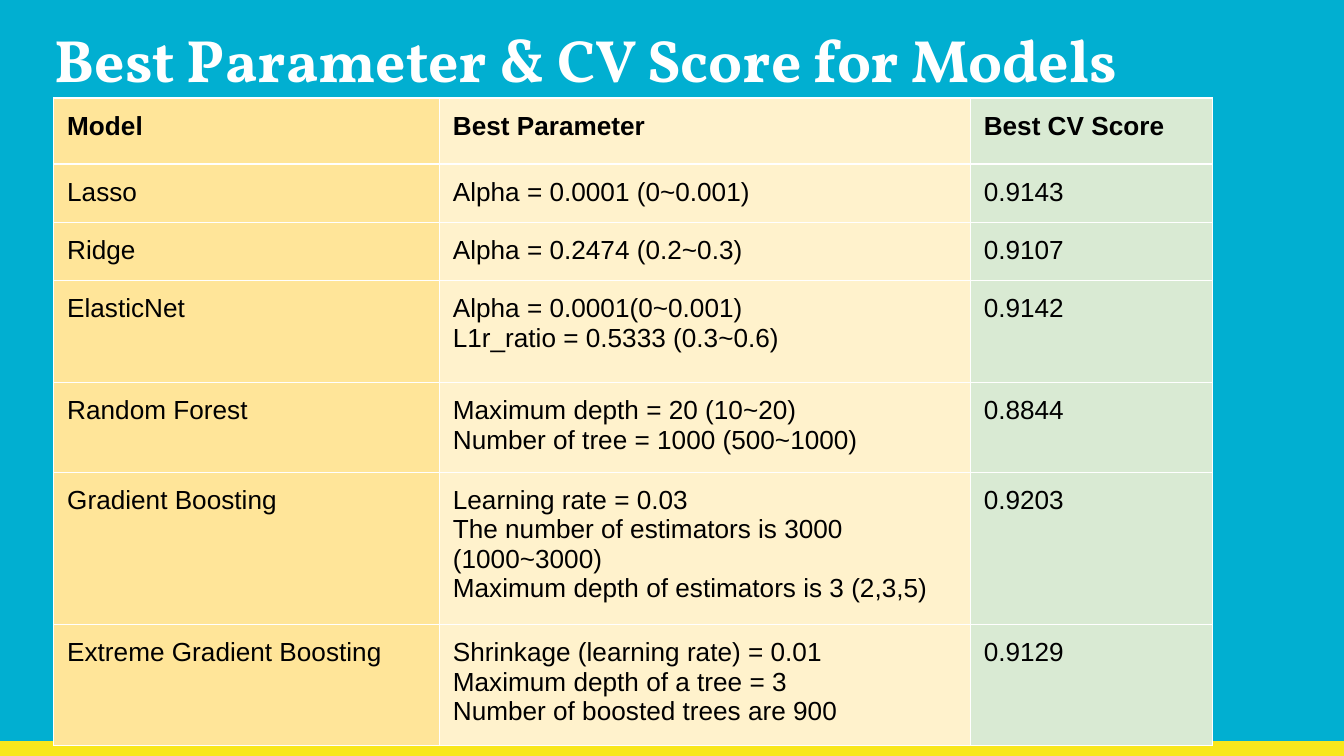
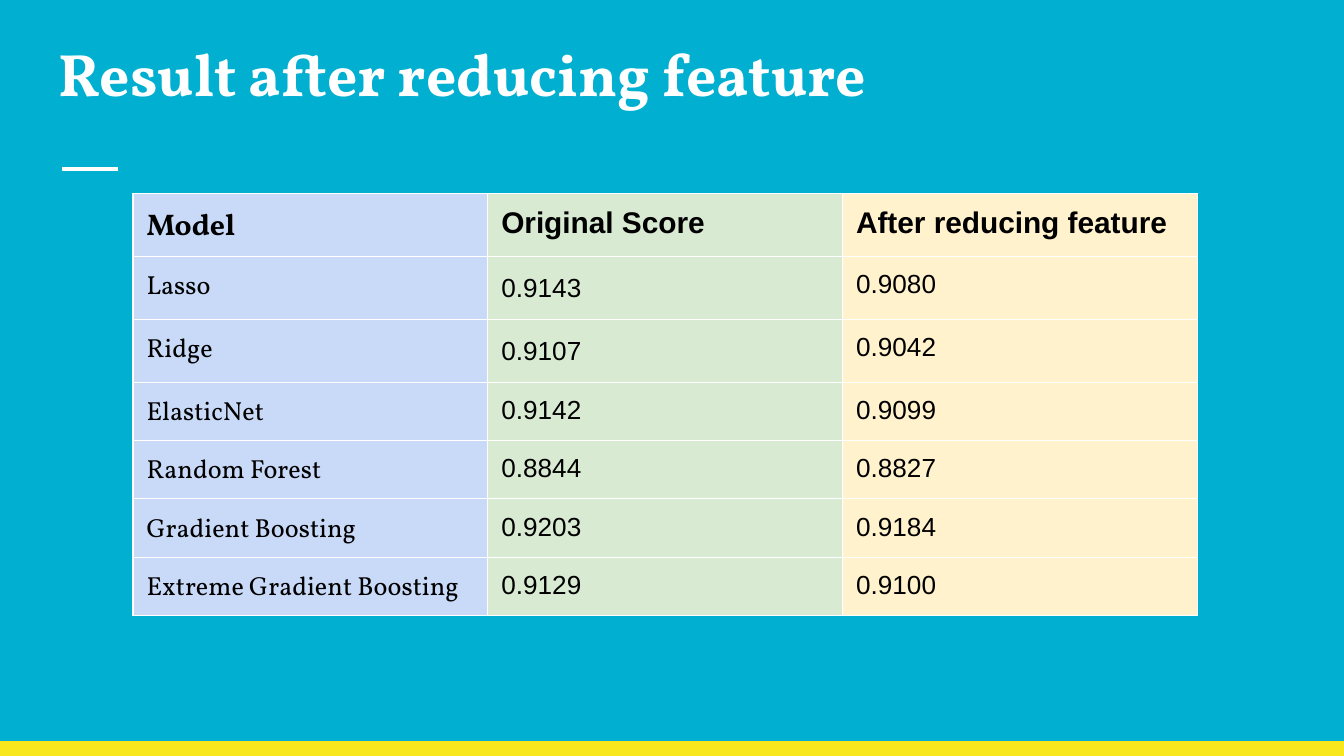
from lxml import etree
from pptx import Presentation
from pptx import util as u
from pptx.dml.color import RGBColor
from pptx.enum import shapes, text
from pptx.oxml import ns

# Content
MODELS = ["Lasso", "Ridge", "ElasticNet", "Random Forest",
          "Gradient Boosting", "Extreme Gradient Boosting"]
PARAMETERS = [
    ["Alpha = 0.0001 (0~0.001)"],
    ["Alpha = 0.2474 (0.2~0.3)"],
    ["Alpha = 0.0001(0~0.001)", "L1r_ratio = 0.5333 (0.3~0.6)"],
    ["Maximum depth = 20 (10~20)", "Number of tree = 1000 (500~1000)"],
    ["Learning rate = 0.03", "The number of estimators is 3000 (1000~3000)",
     "Maximum depth of estimators is 3 (2,3,5)"],
    ["Shrinkage (learning rate) = 0.01", "Maximum depth of a tree = 3",
     "Number of boosted trees are 900"],
]
SCORES = ["0.9143", "0.9107", "0.9142", "0.8844", "0.9203", "0.9129"]
REDUCED_SCORES = ["0.9080", "0.9042", "0.9099", "0.8827", "0.9184", "0.9100"]

# Shared style
COLORS = {"background": "01AFD1", "band": "F8E71C", "white": "FFFFFF", "black": "000000",
          "gold": "FFE599", "cream": "FFF2CC", "green": "D9EAD3", "blue": "C9DAF8"}
SERIF, SANS = "Vollkorn", "Arial"
WIDTH, HEIGHT, BAND_HEIGHT = 10, 5.625, 0.11
INSET = u.Inches(0.1)

SLIDES = [
    {"title": "Best Parameter & CV Score for Models", "title_at": (0.31, 0.07),
     "rule": False, "table_at": (0.4, 0.73), "header_size": 14,
     "row_heights": [0.49, 0.37, 0.36, 0.76, 0.55, 0.99, 0.49],
     "columns": [
         {"header": "Model", "values": MODELS, "width": 2.87, "fill": "gold"},
         {"header": "Best Parameter", "values": PARAMETERS, "width": 3.95, "fill": "cream"},
         {"header": "Best CV Score", "values": SCORES, "width": 1.8, "fill": "green"}]},
    {"title": "Result after reducing feature", "title_at": (0.34, 0.17),
     "rule": True, "table_at": (0.99, 1.44), "header_size": 16,
     "row_heights": [0.42] * 7,
     "columns": [
         {"header": "Model", "values": MODELS, "width": 2.64, "fill": "blue", "font": SERIF},
         {"header": "Original Score", "values": SCORES, "width": 2.64, "fill": "green",
          "spaced_rows": (1, 2)},
         {"header": "After reducing feature", "values": REDUCED_SCORES, "width": 2.64,
          "fill": "cream"}]},
]


def color(name):
    return RGBColor.from_string(COLORS[name])


def write(frame, lines, size=14, font=SANS, ink="black", bold=False, spacing=None, after=None):
    """Write one paragraph per line."""
    frame.word_wrap = True
    lines = [lines] if isinstance(lines, str) else lines
    for index, line in enumerate(lines):
        paragraph = frame.paragraphs[0] if index == 0 else frame.add_paragraph()
        if spacing:
            paragraph.line_spacing = spacing
        if after:
            paragraph.space_after = u.Pt(after)
        run = paragraph.add_run()
        run.text = line
        run.font.size, run.font.name, run.font.bold = u.Pt(size), font, bold
        run.font.color.rgb = color(ink)


def add_borders(cell):
    properties = cell._tc.get_or_add_tcPr()
    for index, side in enumerate(("lnL", "lnR", "lnT", "lnB")):
        line = etree.Element(ns.qn(f"a:{side}"), w=str(u.Pt(0.75)))
        fill = etree.SubElement(line, ns.qn("a:solidFill"))
        etree.SubElement(fill, ns.qn("a:srgbClr"), val=COLORS["white"])
        properties.insert(index, line)


def add_base(presentation, title, title_at, rule):
    """Add a slide with its background, bottom band, accent rule and title."""
    slide = presentation.slides.add_slide(presentation.slide_layouts[6])
    slide.background.fill.solid()
    slide.background.fill.fore_color.rgb = color("background")

    band = slide.shapes.add_shape(
        shapes.MSO_SHAPE.RECTANGLE, 0, u.Inches(HEIGHT - BAND_HEIGHT),
        u.Inches(WIDTH), u.Inches(BAND_HEIGHT))
    band.shadow.inherit = False
    band.fill.solid()
    band.fill.fore_color.rgb = color("band")
    band.line.fill.background()

    if rule:
        line = slide.shapes.add_connector(
            shapes.MSO_CONNECTOR.STRAIGHT,
            *(u.Inches(value) for value in (0.46, 1.26, 0.88, 1.26)))
        line.line.color.rgb = color("white")
        line.line.width = u.Pt(2.25)
        etree.SubElement(line._element.spPr, ns.qn("a:effectLst"))

    box = slide.shapes.add_textbox(
        *(u.Inches(value) for value in (*title_at, 9.32, 0.71)))
    frame = box.text_frame
    frame.margin_left = frame.margin_right = frame.margin_top = frame.margin_bottom = INSET
    frame.vertical_anchor = text.MSO_ANCHOR.TOP
    write(frame, title, size=32, font=SERIF, ink="white", bold=True)
    return slide


def add_table(slide, table_at, columns, row_heights, header_size):
    left, top = table_at
    width = sum(column["width"] for column in columns)
    table = slide.shapes.add_table(
        len(row_heights), len(columns), u.Inches(left), u.Inches(top),
        u.Inches(width), u.Inches(sum(row_heights))).table
    for row, height in zip(table.rows, row_heights):
        row.height = u.Inches(height)
    for column_index, column in enumerate(columns):
        table.columns[column_index].width = u.Inches(column["width"])
        for row_index, value in enumerate([column["header"], *column["values"]]):
            cell = table.cell(row_index, column_index)
            cell.margin_left = cell.margin_right = INSET
            cell.margin_top = cell.margin_bottom = INSET
            cell.fill.solid()
            cell.fill.fore_color.rgb = color(column["fill"])
            add_borders(cell)
            header = row_index == 0
            spaced = row_index in column.get("spaced_rows", ())
            write(cell.text_frame, value, size=header_size if header else 14,
                  font=column.get("font", SANS), bold=header,
                  spacing=1.15 if spaced else None, after=16 if spaced else None)


def main():
    presentation = Presentation()
    presentation.slide_width = u.Inches(WIDTH)
    presentation.slide_height = u.Inches(HEIGHT)
    for content in SLIDES:
        slide = add_base(presentation, content["title"], content["title_at"], content["rule"])
        add_table(slide, content["table_at"], content["columns"],
                  content["row_heights"], content["header_size"])
    presentation.save("out.pptx")


if __name__ == "__main__":
    main()
